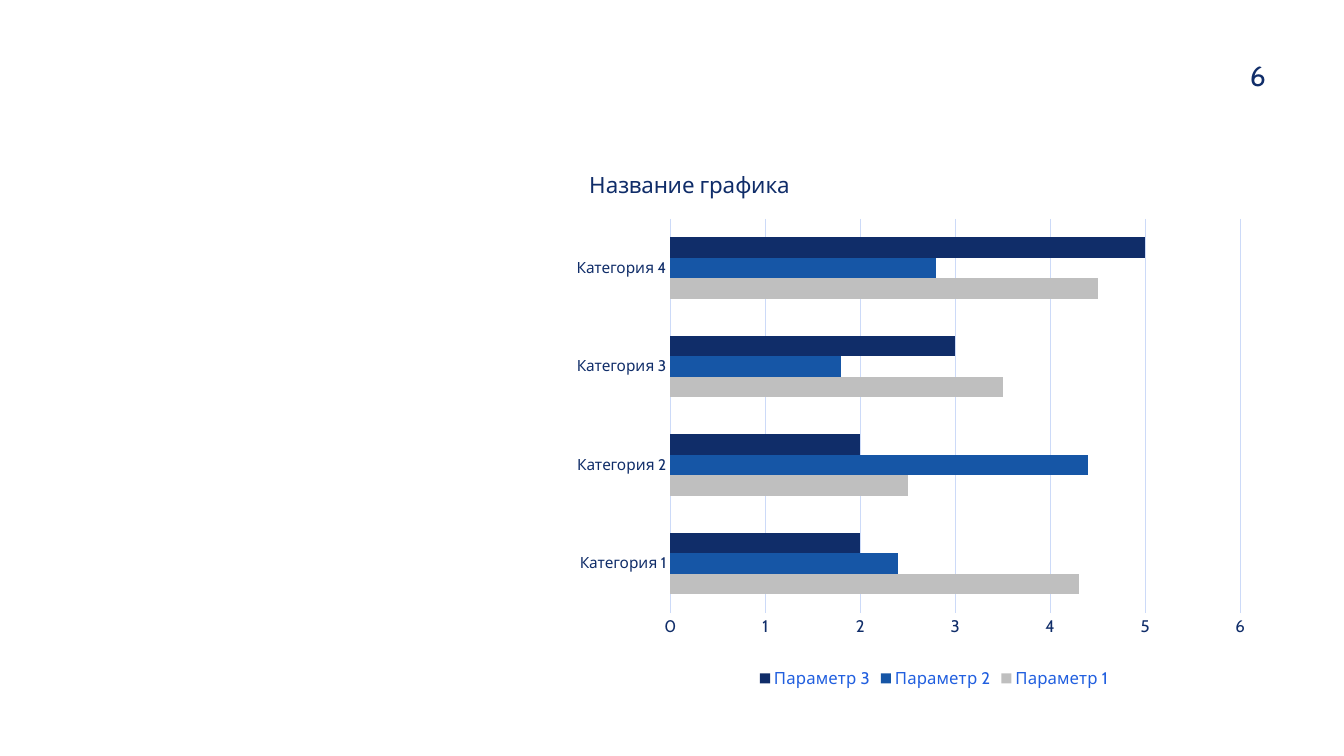
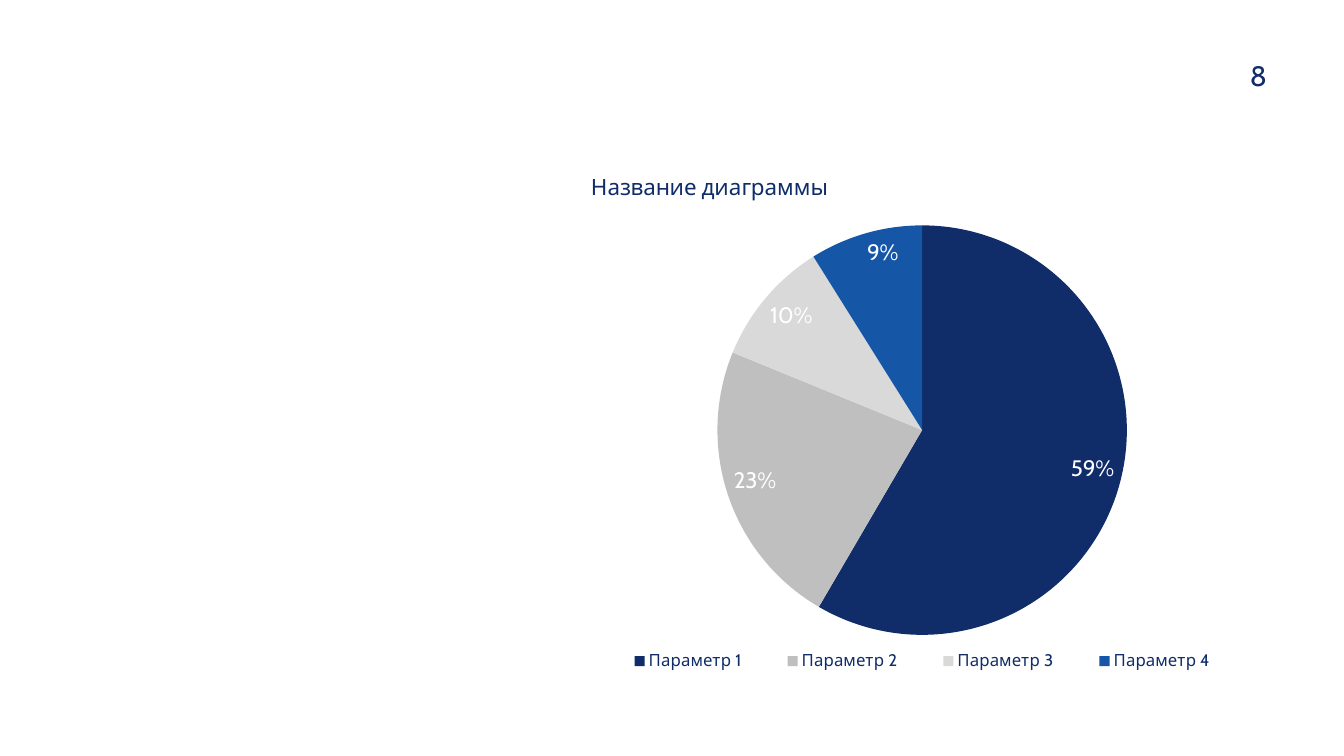
from dataclasses import dataclass
from typing import Optional

from lxml import etree
from pptx import Presentation
from pptx import util as u
from pptx.chart.chart import Chart
from pptx.chart.data import CategoryChartData
from pptx.dml.color import RGBColor
from pptx.enum import chart as ch
from pptx.oxml import ns
from pptx.slide import Slide
from pptx.text.text import Font


# Shared look
@dataclass(frozen=True)
class Theme:
    navy: str = "102D69"
    blue: str = "1656A6"
    link: str = "215FDF"
    gray: str = "BFBFBF"
    pale: str = "D9D9D9"
    grid: str = "CCDAF8"
    white: str = "FFFFFF"
    face: str = "Cabin"
    base: str = "Calibri"
    page: float = 20
    title: float = 16
    label: float = 12
    small: float = 11
    tiny: float = 10


T = Theme()


# Part of a chart, as fractions of its frame
@dataclass(frozen=True)
class Spot:
    x: float
    y: float
    w: Optional[float] = None
    h: Optional[float] = None
    inner: bool = False


@dataclass(frozen=True)
class Series:
    name: str
    vals: tuple[float, ...]
    color: str = T.navy


@dataclass(frozen=True)
class Panel:
    page: str
    title: str
    kind: ch.XL_CHART_TYPE
    left: float
    top: float
    high: float
    cats: tuple[str, ...]
    series: tuple[Series, ...]
    head: Spot
    plot: Spot
    key: str
    keys: Optional[Spot] = None
    wide: float = 17.98


def names(word: str, count: int) -> tuple[str, ...]:
    return tuple(f"{word} {n}" for n in range(1, count + 1))


PARAMS = names("Параметр", 4)

BARS = Panel(
    "6", "Название графика", ch.XL_CHART_TYPE.BAR_CLUSTERED,
    14.53, 4.04, 13.41, names("Категория", 4),
    (
        Series(PARAMS[0], (4.3, 2.5, 3.5, 4.5), T.gray),
        Series(PARAMS[1], (2.4, 4.4, 1.8, 2.8), T.blue),
        Series(PARAMS[2], (2, 2, 3, 5), T.navy),
    ),
    Spot(0.01, 0.01), Spot(0.13, 0.11, 0.8, 0.74, True), T.link,
)
PIE = Panel(
    "8", "Название диаграммы", ch.XL_CHART_TYPE.PIE,
    14.25, 3.96, 13.23, PARAMS,
    (Series("Series 1", (59, 23, 10, 9)),),
    Spot(0.03, 0.02), Spot(0.21, 0.13, 0.58, 0.78, True), T.navy,
    Spot(0.04, 0.93, 0.92, 0.06),
)


# Helpers
def style(font: Font, size: float, color: str = T.navy, face: str = T.face) -> None:
    font.size, font.name, font.bold = u.Pt(size), face, False
    font.color.rgb = RGBColor.from_string(color)


def place(part: etree._Element, spot: Spot, after: str = "") -> None:
    """Give a chart part a manual layout, right after the named child."""
    for old in part.findall(ns.qn("c:layout")):
        part.remove(old)
    frame = etree.Element(ns.qn("c:layout"))
    form = etree.SubElement(frame, ns.qn("c:manualLayout"))
    rows = [("layoutTarget", "inner")] if spot.inner else []
    rows += [("xMode", "edge"), ("yMode", "edge"), ("x", spot.x), ("y", spot.y)]
    if spot.w is not None:
        rows += [("w", spot.w), ("h", spot.h)]
    for tag, val in rows:
        etree.SubElement(form, ns.qn(f"c:{tag}")).set("val", str(val))
    if after:
        part.find(ns.qn(after)).addnext(frame)
    else:
        part.insert(0, frame)


def number(slide: Slide, page: str) -> None:
    box = slide.shapes.add_textbox(u.Cm(31.5), u.Cm(1.47), u.Cm(1.85), u.Cm(0.86))
    frame = box.text_frame
    frame.word_wrap = True
    frame.margin_left = frame.margin_right = 0
    frame.margin_top = frame.margin_bottom = 0
    run = frame.paragraphs[0].add_run()
    run.text = page
    style(run.font, T.page)


# Chart kinds
def bars(chart: Chart, panel: Panel) -> None:
    plot = chart.plots[0]
    plot.gap_width, plot.vary_by_categories = 182, False
    for item, row in zip(plot.series, panel.series):
        item.format.fill.solid()
        item.format.fill.fore_color.rgb = RGBColor.from_string(row.color)
        item.invert_if_negative = False
    cat, val = chart.category_axis, chart.value_axis
    for axis, size in ((cat, T.small), (val, T.label)):
        axis.major_tick_mark = axis.minor_tick_mark = ch.XL_TICK_MARK.NONE
        style(axis.tick_labels.font, size)
    val.minimum_scale, val.maximum_scale, val.major_unit = 0, 6, 1
    val.has_major_gridlines = True
    val.format.line.fill.background()
    for line in (cat.format.line, val.major_gridlines.format.line):
        line.color.rgb = RGBColor.from_string(T.grid)
        line.width = u.Pt(0.75)


def pie(chart: Chart) -> None:
    plot = chart.plots[0]
    plot.vary_by_categories = True
    for n, color in enumerate((T.navy, T.gray, T.pale, T.blue)):
        form = plot.series[0].points[n].format
        form.fill.solid()
        form.fill.fore_color.rgb = RGBColor.from_string(color)
        form.line.fill.background()
    tags = plot.series[0].data_labels
    tags.show_value = True
    tags.number_format, tags.number_format_is_linked = '0"%"', False
    tags.position = ch.XL_LABEL_POSITION.INSIDE_END
    style(tags.font, T.title, T.white)


def draw(slide: Slide, panel: Panel) -> None:
    number(slide, panel.page)
    data = CategoryChartData()
    data.categories = panel.cats
    for row in panel.series:
        data.add_series(row.name, row.vals)
    chart = slide.shapes.add_chart(
        panel.kind, u.Cm(panel.left), u.Cm(panel.top),
        u.Cm(panel.wide), u.Cm(panel.high), data,
    ).chart
    style(chart.font, T.tiny, face=T.base)

    # Title
    chart.has_title = True
    run = chart.chart_title.text_frame.paragraphs[0].add_run()
    run.text = panel.title
    style(run.font, T.title)
    space = chart.element.chart
    place(space.find(ns.qn("c:title")), panel.head, "c:tx")

    # Legend
    chart.has_legend = True
    chart.legend.position = ch.XL_LEGEND_POSITION.BOTTOM
    chart.legend.include_in_layout = False
    style(chart.legend.font, T.label, panel.key)
    if panel.keys:
        place(space.find(ns.qn("c:legend")), panel.keys, "c:legendPos")

    # Plot
    place(space.find(ns.qn("c:plotArea")), panel.plot)
    if panel.kind == ch.XL_CHART_TYPE.PIE:
        pie(chart)
    else:
        bars(chart, panel)


def main() -> None:
    deck = Presentation()
    deck.slide_width, deck.slide_height = u.Cm(33.87), u.Cm(19.05)
    for panel in (BARS, PIE):
        draw(deck.slides.add_slide(deck.slide_layouts[6]), panel)
    deck.save("out.pptx")


if __name__ == "__main__":
    main()
